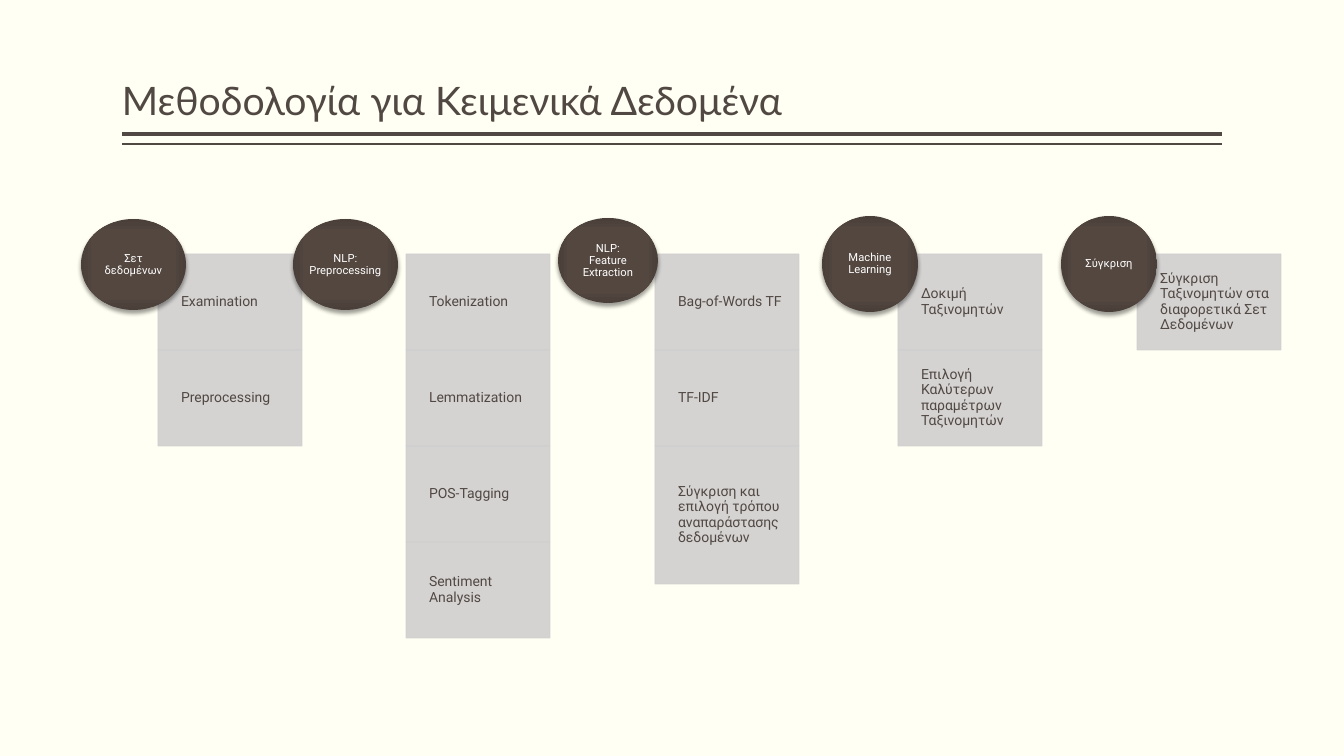
from lxml import etree
from pptx import Presentation, util as u
from pptx.dml.color import RGBColor
from pptx.enum import shapes, text
from pptx.oxml import ns, parse_xml

SCALE = 12192000 / 1344
COLORS = {"bg": "FFFFF3", "ink": "514843", "card": "D0CFCF", "white": "FFFFFF",
          "center": "544740", "middle": "534740", "edge": "4A3F39", "shadow": "000000"}
NS = 'xmlns:a="http://schemas.openxmlformats.org/drawingml/2006/main"'
GRADIENT = f'''<a:gradFill {NS} rotWithShape="1"><a:gsLst>
<a:gs pos="0"><a:srgbClr val="{COLORS["center"]}"/></a:gs>
<a:gs pos="71000"><a:srgbClr val="{COLORS["middle"]}"/></a:gs>
<a:gs pos="100000"><a:srgbClr val="{COLORS["edge"]}"/></a:gs></a:gsLst>
<a:path path="rect"><a:fillToRect l="50000" t="50000" r="50000" b="50000"/></a:path>
</a:gradFill>'''
SHADOW = f'''<a:outerShdw {NS} blurRad="39400" dist="25400" dir="5400000" rotWithShape="0">
<a:srgbClr val="{COLORS["shadow"]}"><a:alpha val="38000"/></a:srgbClr></a:outerShdw>'''


def px(*values):
    return [u.Emu(round(v * SCALE)) for v in values]


def write(sp, content, size, color, font="Roboto", align=text.PP_ALIGN.LEFT,
          anchor=text.MSO_ANCHOR.MIDDLE, margins=(0, 0, 0, 0)):
    tf = sp.text_frame
    tf.word_wrap = True
    tf.auto_size = text.MSO_AUTO_SIZE.NONE
    tf.vertical_anchor = anchor
    tf.margin_left, tf.margin_top, tf.margin_right, tf.margin_bottom = px(*margins)
    p = tf.paragraphs[0]
    p.text = content
    p.alignment = align
    p.line_spacing = 0.9
    for r in p.runs:
        r.font.name = font
        r.font.size = u.Pt(size)
        r.font.color.rgb = RGBColor.from_string(COLORS[color])


prs = Presentation()
prs.slide_width, prs.slide_height = px(1344, 756)
s = prs.slides.add_slide(prs.slide_layouts[5])
s.background.fill.solid()
s.background.fill.fore_color.rgb = RGBColor.from_string(COLORS["bg"])

title = s.shapes.title
title.left, title.top, title.width, title.height = px(122, 8, 1100, 121)
write(title, "Μεθοδολογία για Κειμενικά Δεδομένα", 28, "ink", font="Lato",
      anchor=text.MSO_ANCHOR.BOTTOM, margins=(0, 5, 0, 5))

for y, weight in [(134, 3), (144, 1)]:
    rule = s.shapes.add_connector(shapes.MSO_CONNECTOR.STRAIGHT, *px(122, y, 1222, y))
    rule.line.color.rgb = RGBColor.from_string(COLORS["ink"])
    rule.line.width = u.Pt(weight)
    etree.SubElement(rule._element.spPr, ns.qn("a:effectLst"))

CARD_TOP, CARD_W, CARD_H, TALL_H = 254, 144, 96, 138
stages = [
    ("Σετ δεδομένων", (81, 219, 105, 91), 158,
     [("Examination", CARD_H), ("Preprocessing", CARD_H)]),
    ("NLP:\nPreprocessing", (293, 219, 105, 91), 406,
     [("Tokenization", CARD_H), ("Lemmatization", CARD_H),
      ("POS-Tagging", CARD_H), ("Sentiment Analysis", CARD_H)]),
    ("NLP:\nFeature Extraction", (558, 218, 100, 85), 655,
     [("Bag-of-Words TF", CARD_H), ("TF-IDF", CARD_H),
      ("Σύγκριση και επιλογή τρόπου αναπαράστασης δεδομένων", TALL_H)]),
    ("Machine Learning", (822, 216, 96, 96), 898,
     [("Δοκιμή Ταξινομητών", CARD_H),
      ("Επιλογή Καλύτερων παραμέτρων Ταξινομητών", CARD_H)]),
    ("Σύγκριση", (1061, 216, 96, 96), 1137,
     [("Σύγκριση Ταξινομητών στα διαφορετικά Σετ Δεδομένων", CARD_H)]),
]

for name, circle_box, left, steps in stages:
    top = CARD_TOP
    for step, height in steps:
        card = s.shapes.add_shape(shapes.MSO_SHAPE.RECTANGLE, *px(left, top, CARD_W, height))
        card.shadow.inherit = False
        card.line.width = u.Pt(0.5)
        for fill in (card.fill, card.line.fill):
            fill.solid()
            fill.fore_color.rgb = RGBColor.from_string(COLORS["card"])
        for clr in card._element.spPr.iter(ns.qn("a:srgbClr")):
            etree.SubElement(clr, ns.qn("a:alpha"), val="90000")
        write(card, step, 10, "ink", margins=(23, 8, 8, 8))
        top += height

    circle = s.shapes.add_shape(shapes.MSO_SHAPE.OVAL, *px(*circle_box))
    circle.line.fill.background()
    circle.shadow.inherit = False
    spPr = circle._element.spPr
    spPr.insert(2, parse_xml(GRADIENT))
    spPr.find(ns.qn("a:effectLst")).append(parse_xml(SHADOW))
    write(circle, name, 8, "white", align=text.PP_ALIGN.CENTER)

prs.save("out.pptx")
